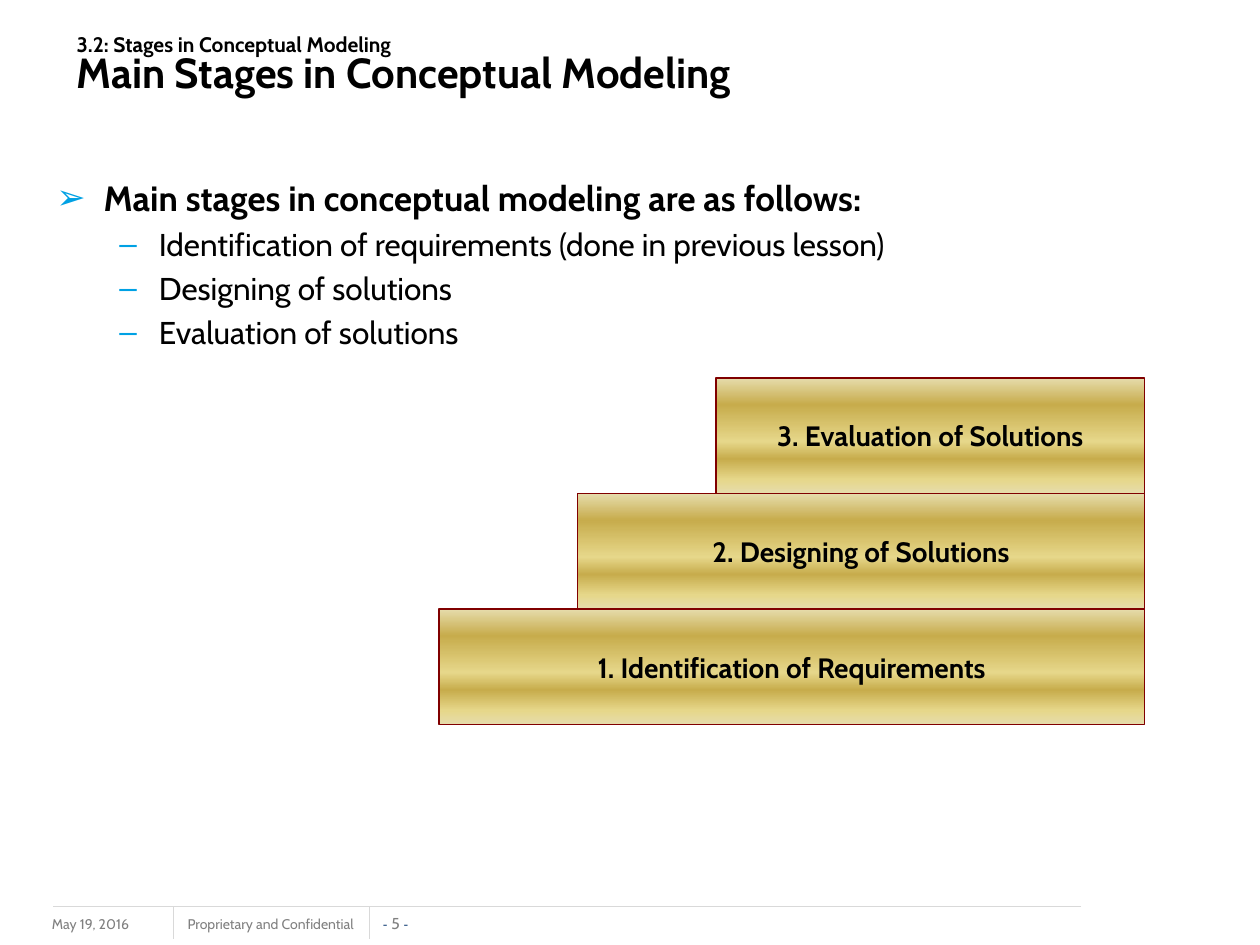
from lxml.etree import SubElement
from pptx import Presentation
from pptx.dml.color import RGBColor
from pptx.enum.shapes import MSO_CONNECTOR, MSO_SHAPE
from pptx.enum.text import MSO_ANCHOR, PP_ALIGN
from pptx.oxml.ns import qn
from pptx.util import Inches, Pt


def color(value):
    return RGBColor.from_string(value)


def add_run(paragraph, text, size, hex_color="000000", bold=False, name="Cabin"):
    run = paragraph.add_run()
    run.text = text
    for attribute, value in {"size": Pt(size), "bold": bold, "name": name}.items():
        setattr(run.font, attribute, value)
    run.font.color.rgb = color(hex_color)


presentation = Presentation()
presentation.slide_width = Inches(10)
presentation.slide_height = Inches(7.5)
slide = presentation.slides.add_slide(presentation.slide_layouts[6])
column = presentation.slide_width / 100
row = presentation.slide_height / 75

footer_lines = [(85.8, 71.97, 4.2, 71.97), (13.77, 72, 13.77, 74.5), (29.3, 72, 29.3, 74.5)]
for start_x, start_y, end_x, end_y in footer_lines:
    connector = slide.shapes.add_connector(
        MSO_CONNECTOR.STRAIGHT, int(start_x * column), int(start_y * row),
        int(end_x * column), int(end_y * row))
    connector.line.color.rgb = color("D9D9D9")
    connector.line.width = Pt(0.75)
    SubElement(connector._element.spPr, qn("a:effectLst"))

no_margins = {"margin_left": 0, "margin_right": 0, "margin_top": 0, "margin_bottom": 0}
text_boxes = {
    "date": (3.13, 72.2, 13.3, 2.5, {"word_wrap": True}),
    "notice": (13.9, 72.2, 15.7, 2.4, {"word_wrap": False}),
    "page": (30.1, 72.5, 2.6, 1.5,
             {"word_wrap": False, "vertical_anchor": MSO_ANCHOR.BOTTOM, **no_margins}),
    "body": (3.5, 13.5, 90, 49.5, {"word_wrap": True}),
    "title": (5.1, 1.36, 89.2, 7.8,
              {"word_wrap": True, "vertical_anchor": MSO_ANCHOR.MIDDLE}),
}
frames = {}
for box_name, (left, top, width, height, settings) in text_boxes.items():
    shape = slide.shapes.add_textbox(
        int(left * column), int(top * row), int(width * column), int(height * row))
    frames[box_name] = shape.text_frame
    for attribute, value in settings.items():
        setattr(shape.text_frame, attribute, value)

add_run(frames["date"].paragraphs[0], "May 19, 2016", 8, "808080")
add_run(frames["notice"].paragraphs[0], "Proprietary and Confidential", 8, "808080")
paragraph = frames["page"].paragraphs[0]
paragraph.alignment = PP_ALIGN.CENTER
add_run(paragraph, "- ", 8, "1F497D", name="Arial")
add_run(paragraph, "5 ", 9, "808080")
add_run(paragraph, "-", 8, "1F497D", name="Arial")

paragraph = frames["title"].paragraphs[0]
paragraph.line_spacing = 0.8
add_run(paragraph, "3.2: Stages in Conceptual Modeling", 12, bold=True)
paragraph.add_line_break()
add_run(paragraph, "Main Stages in Conceptual Modeling", 24, bold=True)

level_formats = [
    {"size": 20, "bold": True, "bullet": "➢", "indent": 3.75, "hanging": 3.75,
     "alignment": PP_ALIGN.LEFT},
    {"size": 18, "bold": False, "bullet": "–", "indent": 8.13, "hanging": 3.13,
     "alignment": PP_ALIGN.JUSTIFY},
]
body_lines = [
    (0, "Main stages in conceptual modeling are as follows:"),
    (1, "Identification of requirements (done in previous lesson)"),
    (1, "Designing of solutions"),
    (1, "Evaluation of solutions"),
]
for index, (level, text) in enumerate(body_lines):
    style = level_formats[level]
    paragraph = frames["body"].add_paragraph() if index else frames["body"].paragraphs[0]
    for attribute, value in {"level": level, "alignment": style["alignment"],
                             "space_before": Pt(style["size"] * 0.2)}.items():
        setattr(paragraph, attribute, value)
    properties = paragraph._p.get_or_add_pPr()
    properties.set("marL", str(int(style["indent"] * column)))
    properties.set("indent", str(-int(style["hanging"] * column)))
    bullet_color = SubElement(properties, qn("a:buClr"))
    SubElement(bullet_color, qn("a:srgbClr"), val="00A1E4")
    SubElement(properties, qn("a:buFont"), typeface="Arial")
    SubElement(properties, qn("a:buChar"), char=style["bullet"])
    add_run(paragraph, text, style["size"], bold=style["bold"])

gold_stops = [(0, "E6DCAC"), (23, "C7AC4C"), (55, "E6D78A"),
              (70, "C7AC4C"), (88, "E6D78A"), (100, "E6DCAC")]
stages = ["1. Identification of Requirements", "2. Designing of Solutions",
          "3. Evaluation of Solutions"]
stair_left, stair_right, stair_top, step_inset, step_height = 34.84, 90.84, 48.34, 11, 9.17
for index, text in enumerate(stages):
    left = stair_left + index * step_inset
    shape = slide.shapes.add_shape(
        MSO_SHAPE.RECTANGLE, int(left * column), int((stair_top - index * step_height) * row),
        int((stair_right - left) * column), int(step_height * row))
    shape.shadow.inherit = False
    shape.fill.gradient()
    shape.fill.gradient_angle = 270
    stop_list = shape._element.spPr.find(qn("a:gradFill")).find(qn("a:gsLst"))
    for stop in list(stop_list):
        stop_list.remove(stop)
    for position, value in gold_stops:
        stop = SubElement(stop_list, qn("a:gs"), pos=str(position * 1000))
        SubElement(stop, qn("a:srgbClr"), val=value)
    shape.line.color.rgb = color("800000")
    shape.line.width = Pt(0.75)
    for attribute, value in {"word_wrap": False,
                             "vertical_anchor": MSO_ANCHOR.MIDDLE}.items():
        setattr(shape.text_frame, attribute, value)
    paragraph = shape.text_frame.paragraphs[0]
    paragraph.alignment = PP_ALIGN.CENTER
    add_run(paragraph, text, 16, bold=True)

presentation.save("out.pptx")
